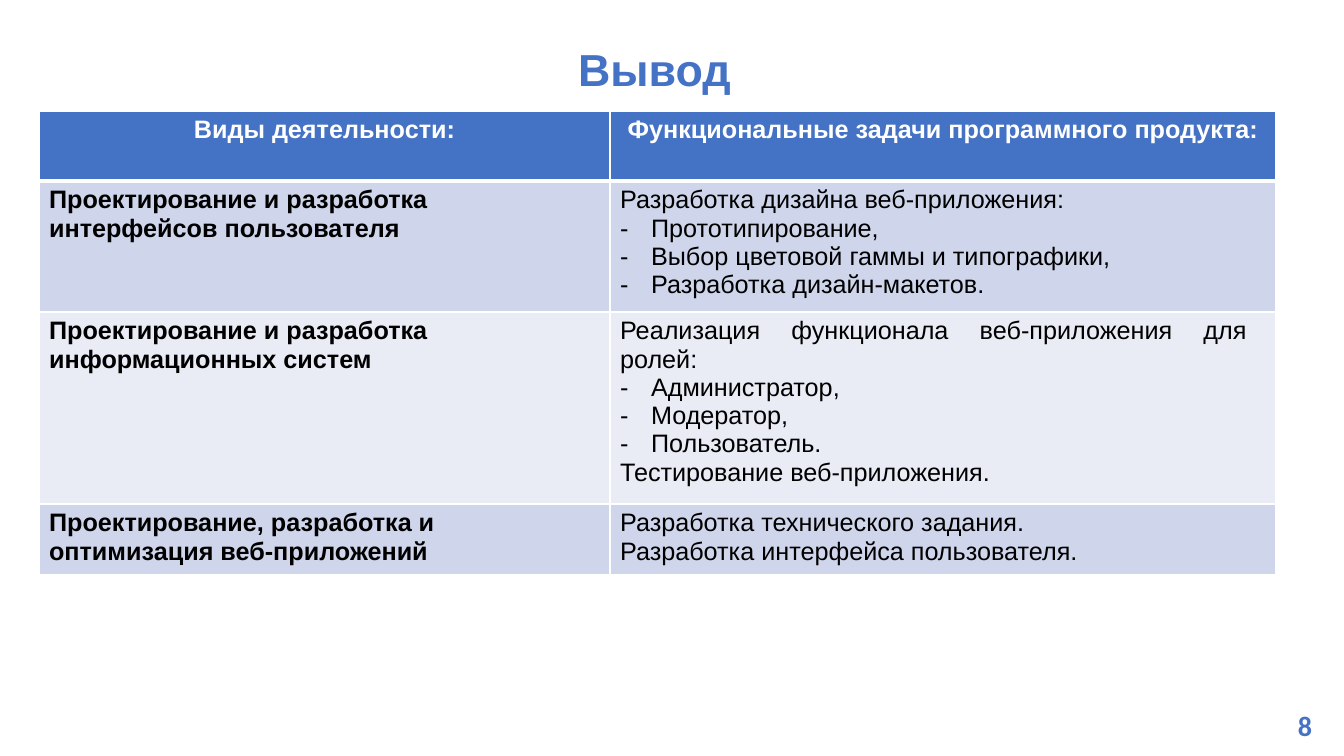
from dataclasses import dataclass

from lxml import etree
from pptx import Presentation
from pptx.dml.color import RGBColor
from pptx.enum.text import MSO_ANCHOR, PP_ALIGN
from pptx.oxml.ns import qn
from pptx.util import Pt

EMU_PER_PX = 914400 / 100.8
LEFT, CENTER, JUSTIFY = PP_ALIGN.LEFT, PP_ALIGN.CENTER, PP_ALIGN.JUSTIFY
MIDDLE = MSO_ANCHOR.MIDDLE
TITLE_ONLY = 5
BULLET = "- "


@dataclass(frozen=True)
class Theme:
    accent: str = "4472C4"
    white: str = "FFFFFF"
    black: str = "000000"
    bands: tuple = ("CFD5EA", "E9EBF5")
    font: str = "Arial"
    number_font: str = "Calibri"
    title_size: int = 32
    number_size: int = 20
    table_size: int = 18
    border: int = 1
    header_border: int = 3


def px(length):
    return round(length * EMU_PER_PX)


class SlideBuilder:
    def __init__(self, page, theme):
        self.page = page
        self.theme = theme

    def format_para(self, para, size, color, bold=True, align=CENTER, font=None):
        para.alignment = align
        for span in para.runs:
            span.font.name = font or self.theme.font
            span.font.size = Pt(size)
            span.font.bold = bold
            span.font.color.rgb = RGBColor.from_string(color)

    def title(self, text, left, top, width, height):
        box = self.page.shapes.title
        box.left, box.top, box.width, box.height = map(px, (left, top, width, height))
        frame = box.text_frame
        frame.text = text
        frame.vertical_anchor = MIDDLE
        para = frame.paragraphs[0]
        para.line_spacing = 0.9
        self.format_para(para, self.theme.title_size, self.theme.accent)

    def page_number(self, text, left, top, width, height):
        box = self.page.shapes.add_textbox(*map(px, (left, top, width, height)))
        frame = box.text_frame
        frame.word_wrap = True
        frame.text = text
        self.format_para(frame.paragraphs[0], self.theme.number_size,
                         self.theme.accent, font=self.theme.number_font)

    def borders(self, cell, bottom):
        properties = cell._tc.get_or_add_tcPr()
        widths = {"a:lnL": self.theme.border, "a:lnR": self.theme.border,
                  "a:lnT": self.theme.border, "a:lnB": bottom}
        for index, (tag, width) in enumerate(widths.items()):
            line = etree.Element(qn(tag), w=str(Pt(width)))
            fill = etree.SubElement(line, qn("a:solidFill"))
            etree.SubElement(fill, qn("a:srgbClr"), val=self.theme.white)
            properties.insert(index, line)

    def bullet(self, para, indent=31):
        properties = para._p.get_or_add_pPr()
        properties.set("marL", str(px(indent)))
        properties.set("indent", str(-px(indent)))
        etree.SubElement(properties, qn("a:buFont"), typeface=self.theme.font)
        etree.SubElement(properties, qn("a:buChar"), char=BULLET.strip())

    def cell(self, cell, lines, fill, color, bold, align, bottom):
        cell.fill.solid()
        cell.fill.fore_color.rgb = RGBColor.from_string(fill)
        self.borders(cell, bottom)
        frame = cell.text_frame
        frame.text = "\n".join(line.removeprefix(BULLET) for line in lines)
        for para, line in zip(frame.paragraphs, lines):
            self.format_para(para, self.theme.table_size, color, bold, align)
            if line.startswith(BULLET):
                self.bullet(para)

    def table(self, header, rows, left, top, widths, heights):
        theme = self.theme
        frame = self.page.shapes.add_table(
            len(heights), len(widths),
            *map(px, (left, top, sum(widths), sum(heights))))
        table = frame.table
        for column, width in zip(table.columns, widths):
            column.width = px(width)
        for row, height in zip(table.rows, heights):
            row.height = px(height)

        for index, text in enumerate(header):
            self.cell(table.cell(0, index), [text], theme.accent, theme.white,
                      True, CENTER, theme.header_border)
        for number, (activity, tasks) in enumerate(rows, start=1):
            band = theme.bands[(number - 1) % len(theme.bands)]
            columns = (([activity], True, LEFT), (tasks, False, JUSTIFY))
            for index, (lines, bold, align) in enumerate(columns):
                cell = table.cell(number, index)
                cell.margin_right = px(29)
                self.cell(cell, lines, band, theme.black, bold, align, theme.border)


HEADER = ("Виды деятельности:", "Функциональные задачи программного продукта:")
ROWS = (
    ("Проектирование и разработка интерфейсов пользователя",
     ("Разработка дизайна веб-приложения:",
      "- Прототипирование,",
      "- Выбор цветовой гаммы и типографики,",
      "- Разработка дизайн-макетов.")),
    ("Проектирование и разработка информационных систем",
     ("Реализация функционала веб-приложения для ролей:",
      "- Администратор,",
      "- Модератор,",
      "- Пользователь.",
      "Тестирование веб-приложения.")),
    ("Проектирование, разработка и оптимизация веб-приложений",
     ("Разработка технического задания.",
      "Разработка интерфейса пользователя.")),
)


def main():
    deck = Presentation()
    deck.slide_width, deck.slide_height = px(1344), px(756)
    page = deck.slides.add_slide(deck.slide_layouts[TITLE_ONLY])
    builder = SlideBuilder(page, Theme())

    # Title and page number
    builder.title("Вывод", 454, 9, 401, 126)
    builder.page_number("8", 1275, 704, 60, 44)

    # Activities and the product tasks that cover them
    builder.table(HEADER, ROWS, 39, 111, widths=(571, 666), heights=(70, 131, 192, 70))

    deck.save("out.pptx")


if __name__ == "__main__":
    main()
